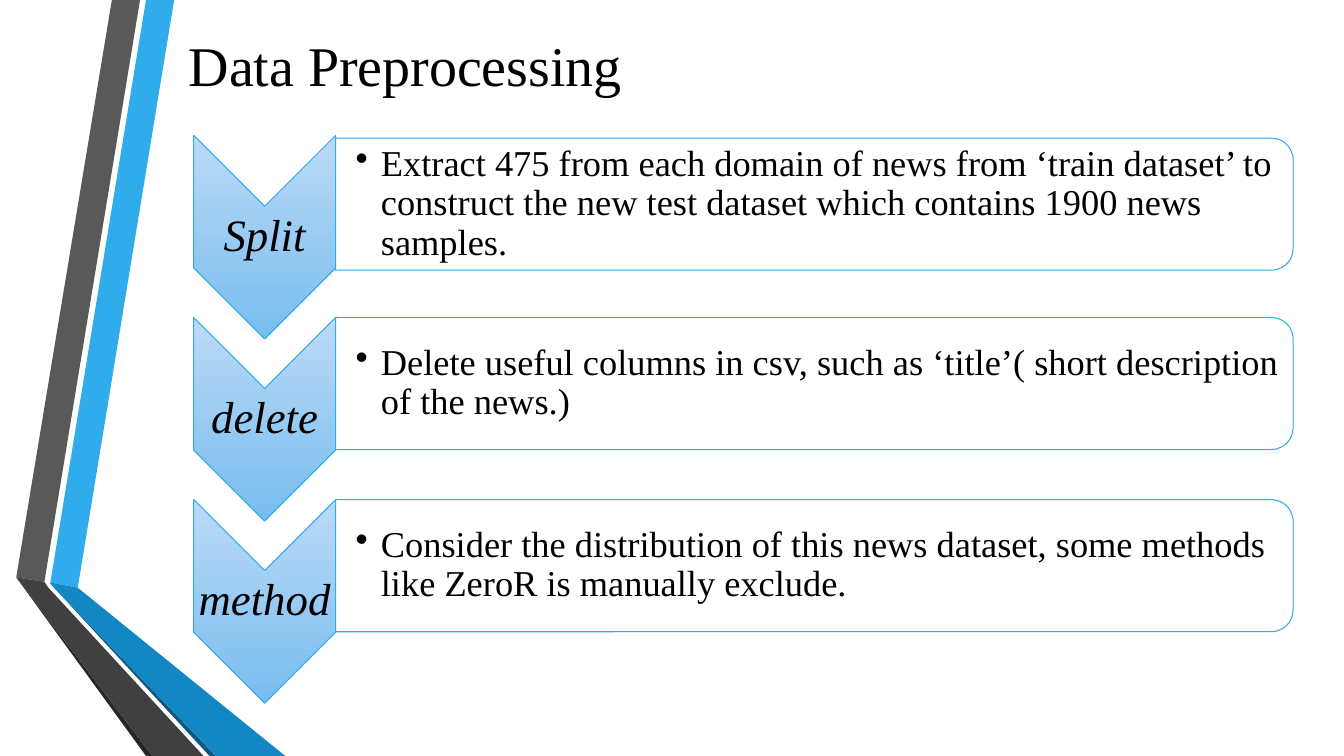
from lxml.etree import SubElement
from pptx import Presentation
from pptx.dml.color import RGBColor
from pptx.enum.shapes import MSO_SHAPE
from pptx.enum.text import MSO_ANCHOR, PP_ALIGN
from pptx.oxml.ns import qn
from pptx.util import Cm, Pt

RIBBONS = [
    ("30ACEC", [(1.27, 14.68), (1.96, 14.81), (4.39, 0), (3.68, 0)]),
    ("595959", [(3.53, 0), (2.82, 0), (0.41, 14.55), (1.12, 14.66)]),
    ("262626", [(0.41, 14.55), (3.68, 19.05), (3.84, 19.05)]),
    ("0C5A82", [(1.27, 14.71), (5.28, 19.05), (5.44, 19.05)]),
    ("1287C3", [(1.27, 14.71), (5.44, 19.05), (7.19, 19.05), (1.96, 14.81), (1.27, 14.68)]),
    ("404040", [(5.13, 19.05), (1.22, 14.81), (1.12, 14.66), (0.41, 14.55), (3.84, 19.05)]),
]
STEPS = [
    ("Split", 3.48, "Extract 475 from each domain of news from ‘train dataset’ to "
     "construct the new test dataset which contains 1900 news samples."),
    ("delete", 8, "Delete useful columns in csv, such as ‘title’( short description of the news.)"),
    ("method", 12.59, "Consider the distribution of this news dataset, "
     "some methods like ZeroR is manually exclude."),
]
CHEVRON_TOP, CHEVRON_PITCH = 3.41, 4.59
CHEVRON_LEFT, CHEVRON_WIDTH, CHEVRON_HEIGHT = 4.88, 3.58, 5.13
PANEL_LEFT, PANEL_WIDTH, PANEL_HEIGHT = 8.46, 24.13, 3.33


def color(value):
    return RGBColor.from_string(value)


def apply_format(target, values):
    for name, value in values.items():
        setattr(target, name, value)


class SlideBuilder:
    font_name = "Times New Roman"
    text_color = "000000"
    accent = "30ACEC"
    gradient = ("BCDAF6", "78BDEF")

    def __init__(self, slide):
        self.slide = slide

    def add_text(self, shape, text, font, paragraph_format, frame_format):
        frame = shape.text_frame
        apply_format(frame, {"word_wrap": True, "vertical_anchor": MSO_ANCHOR.MIDDLE, **frame_format})
        paragraph = frame.paragraphs[0]
        apply_format(paragraph, paragraph_format)
        run = paragraph.add_run()
        run.text = text
        apply_format(run.font, {"name": self.font_name, **font})
        run.font.color.rgb = color(self.text_color)
        return paragraph

    def title(self, text, left, top, width, height):
        shape = self.slide.shapes.title
        apply_format(
            shape, {"left": Cm(left), "top": Cm(top), "width": Cm(width), "height": Cm(height)})
        self.add_text(shape, text, {"size": Pt(40)}, {"alignment": PP_ALIGN.CENTER}, {})

    def ribbon(self, fill, points):
        start, *others = [(Cm(x), Cm(y)) for x, y in points]
        builder = self.slide.shapes.build_freeform(*start)
        builder.add_line_segments(others, close=True)
        shape = builder.convert_to_shape()
        shape.shadow.inherit = False
        shape.fill.solid()
        shape.fill.fore_color.rgb = color(fill)
        shape.line.fill.background()

    def turned_shape(self, kind, left, top, width, height):
        middle_x, middle_y = left + width / 2, top + height / 2
        shape = self.slide.shapes.add_shape(
            kind, Cm(middle_x - height / 2), Cm(middle_y - width / 2), Cm(height), Cm(width))
        shape.rotation = 90
        shape.shadow.inherit = False
        shape.line.color.rgb = color(self.accent)
        shape.line.width = Pt(0.75)
        return shape

    def chevron(self, left, top, width, height):
        shape = self.turned_shape(MSO_SHAPE.CHEVRON, left, top, width, height)
        shape.fill.gradient()
        shape.fill.gradient_angle = 0
        for stop, value in zip(shape.fill.gradient_stops, self.gradient):
            stop.color.rgb = color(value)

    def panel(self, left, top, width, height):
        shape = self.turned_shape(MSO_SHAPE.ROUND_2_SAME_RECTANGLE, left, top, width, height)
        shape.fill.solid()
        shape.fill.fore_color.rgb = color("FFFFFF")
        fill_color = shape.element.spPr.find(qn("a:solidFill")).find(qn("a:srgbClr"))
        SubElement(fill_color, qn("a:alpha")).set("val", "90000")

    def text_box(self, text, box, font, paragraph_format, margin_left=0.05):
        shape = self.slide.shapes.add_textbox(*[Cm(length) for length in box])
        margins = {f"margin_{side}": Cm(0.05) for side in ("right", "top", "bottom")}
        margins["margin_left"] = Cm(margin_left)
        return self.add_text(shape, text, font, {"line_spacing": 0.9, **paragraph_format}, margins)

    def label(self, text, *box):
        self.text_box(text, box, {"size": Pt(32), "italic": True}, {"alignment": PP_ALIGN.CENTER})

    def bullet(self, text, *box):
        paragraph = self.text_box(text, box, {"size": Pt(26)}, {"level": 1}, 0.5)
        properties = paragraph._p.get_or_add_pPr()
        properties.set("marL", str(Cm(0.64)))
        properties.set("indent", str(-Cm(0.64)))
        SubElement(properties, qn("a:buChar")).set("char", "•")


def main():
    presentation = Presentation()
    apply_format(presentation, {"slide_width": Cm(33.87), "slide_height": Cm(19.05)})
    builder = SlideBuilder(presentation.slides.add_slide(presentation.slide_layouts[5]))
    for fill, points in RIBBONS:
        builder.ribbon(fill, points)
    builder.title("Data Preprocessing", 2.39, 0, 15.65, 3.23)
    for index, (name, panel_top, description) in enumerate(STEPS):
        top = CHEVRON_TOP + index * CHEVRON_PITCH
        builder.chevron(CHEVRON_LEFT, top, CHEVRON_WIDTH, CHEVRON_HEIGHT)
        builder.label(name, CHEVRON_LEFT, top + 1.79, CHEVRON_WIDTH, 1.55)
        builder.panel(PANEL_LEFT, panel_top, PANEL_WIDTH, PANEL_HEIGHT)
        builder.bullet(description, PANEL_LEFT, panel_top + 0.16, PANEL_WIDTH - 0.15, 3)
    presentation.save("out.pptx")


if __name__ == "__main__":
    main()
